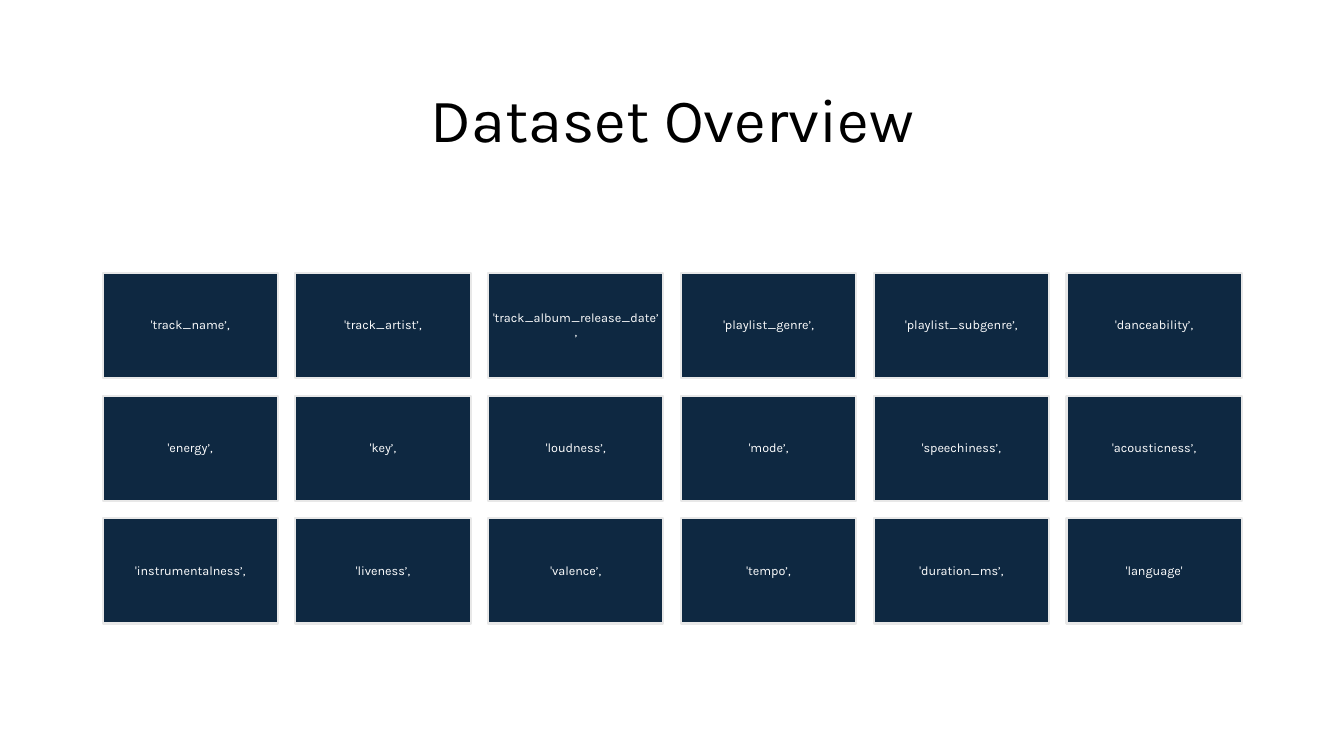
import pptx
import pptx.util
import pptx.dml.color
import pptx.enum.shapes
import pptx.enum.text

TITLE = "Dataset Overview"
FIELDS = [
    ["'track_name’,", "'track_artist’,", "'track_album_release_date’,",
     "'playlist_genre’,", "'playlist_subgenre’,", "'danceability’,"],
    ["'energy’,", "'key’,", "'loudness’,",
     "'mode’,", "'speechiness’,", "'acousticness’,"],
    ["'instrumentalness’,", "'liveness’,", "'valence’,",
     "'tempo’,", "'duration_ms’,", "'language'"],
]

THEME = {
    "font": "Karla",
    "title": 44, "field": 9,
    "ink": "000000", "pale": "FFFFFF", "navy": "0E2841", "edge": "E8E8E8",
}

Pt = pptx.util.Pt
LEFT, TOP = 73.3, 195.1
WIDE, HIGH, GAP = 125.2, 75.1, 12.5


def color(name):
    return pptx.dml.color.RGBColor.from_string(THEME[name])


def write(shape, text, size, ink, inset):
    frame = shape.text_frame
    frame.word_wrap = True
    frame.vertical_anchor = pptx.enum.text.MSO_ANCHOR.MIDDLE
    frame.margin_left = frame.margin_right = Pt(inset[0])
    frame.margin_top = frame.margin_bottom = Pt(inset[1])
    line = frame.paragraphs[0]
    line.alignment = pptx.enum.text.PP_ALIGN.CENTER
    line.line_spacing = 0.9
    run = line.add_run()
    run.text = text
    run.font.name = THEME["font"]
    run.font.size = Pt(THEME[size])
    run.font.color.rgb = color(ink)


def add_card(slide, row, col, text):
    card = slide.shapes.add_shape(
        pptx.enum.shapes.MSO_SHAPE.RECTANGLE,
        Pt(LEFT + col * (WIDE + GAP)), Pt(TOP + row * (HIGH + GAP)),
        Pt(WIDE), Pt(HIGH))
    card.shadow.inherit = False
    card.fill.solid()
    card.fill.fore_color.rgb = color("navy")
    card.line.color.rgb = color("edge")
    card.line.width = Pt(1.5)
    write(card, text, size="field", ink="pale", inset=(2.7, 2.7))


def main():
    deck = pptx.Presentation()
    deck.slide_width, deck.slide_height = Pt(960), Pt(540)
    slide = deck.slides.add_slide(deck.slide_layouts[6])
    head = slide.shapes.add_textbox(Pt(120), Pt(43.2), Pt(721.4), Pt(89.3))
    write(head, TITLE, size="title", ink="ink", inset=(7.2, 3.6))
    for row, names in enumerate(FIELDS):
        for col, name in enumerate(names):
            add_card(slide, row, col, name)
    deck.save("out.pptx")


if __name__ == "__main__":
    main()
